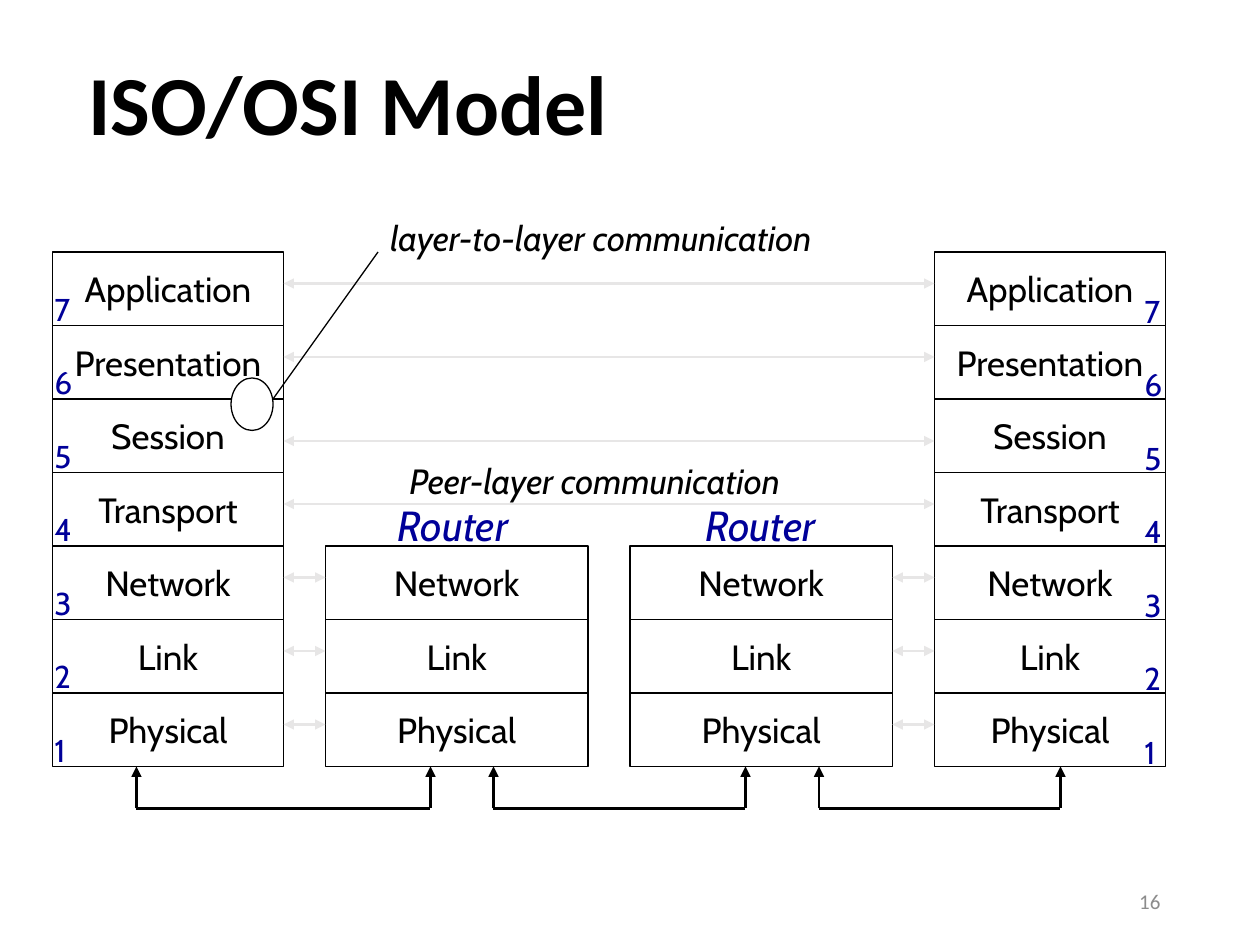
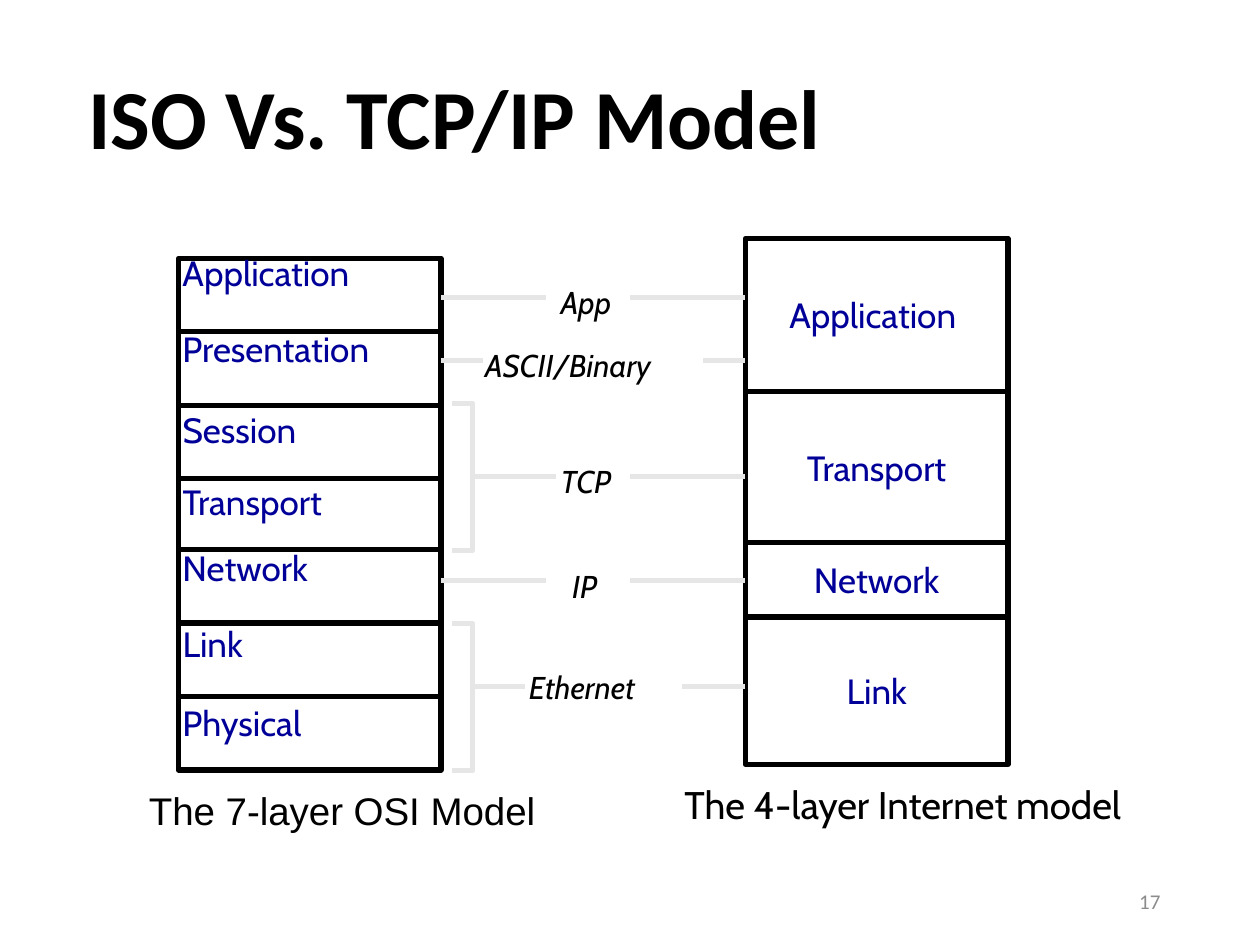
"""Two slides: the ISO/OSI layers, and how they map to the TCP/IP model."""
from dataclasses import dataclass
from typing import Any

import lxml.etree
import pptx
import pptx.dml.color
import pptx.enum.shapes
import pptx.enum.text
import pptx.oxml.ns
import pptx.util

# Grid: the slide is 120 columns by 90 rows, each a twelfth of an inch
SLIDE_WIDTH = pptx.util.Inches(10)
SLIDE_HEIGHT = pptx.util.Inches(7.5)
COLUMNS, ROWS = 120, 90
TITLE_ONLY = 5

# Shared colours and fonts
BLACK, WHITE, NAVY, PALE, GREY = "000000", "FFFFFF", "000099", "E7E6E6", "8C8C8C"
BODY_FONT, TITLE_FONT = "Cabin", "Calibri"
LAYERS = ["Application", "Presentation", "Session", "Transport",
          "Network", "Link", "Physical"]
LAYER_ROWS = 7

Align = pptx.enum.text.PP_ALIGN
Anchor = pptx.enum.text.MSO_ANCHOR
AutoSize = pptx.enum.text.MSO_AUTO_SIZE
Preset = pptx.enum.shapes.MSO_SHAPE


@dataclass
class Style:
    size: float
    color: str = BLACK
    name: str = BODY_FONT
    bold: bool = False
    italic: bool = False


@dataclass
class Box:
    left: float
    top: float
    width: float
    height: float
    text: str = ""


@dataclass
class Label:
    text: str
    left: float
    top: float
    width: float
    style: Style


@dataclass
class Stack:
    left: float
    width: float
    layers: list[str]


@dataclass
class Protocol:
    label: Label
    row: float
    left_start: float
    left_end: float
    right_start: float


LAYER_STYLE = Style(20)
NAVY_LAYER_STYLE = Style(20, NAVY)
NOTE_STYLE = Style(20, italic=True)
ROUTER_STYLE = Style(24, NAVY, italic=True)
DIGIT_STYLE = Style(18, NAVY)
PROTOCOL_STYLE = Style(18, italic=True)
TITLE_STYLE = Style(48, name=TITLE_FONT, bold=True)
NUMBER_STYLE = Style(12, GREY, TITLE_FONT)


# Helpers
def across(columns: float) -> int:
    return round(SLIDE_WIDTH * columns / COLUMNS)


def down(rows: float) -> int:
    return round(SLIDE_HEIGHT * rows / ROWS)


def place(box: Box) -> tuple[int, int, int, int]:
    return across(box.left), down(box.top), across(box.width), down(box.height)


def rgb(color: str) -> pptx.dml.color.RGBColor:
    return pptx.dml.color.RGBColor.from_string(color)


def apply(target: Any, values: dict[str, Any]) -> None:
    for attribute, value in values.items():
        setattr(target, attribute, value)


def write(shape: Any, text: str, style: Style, frame: dict[str, Any],
          paragraph_format: dict[str, Any]) -> None:
    apply(shape.text_frame, frame)
    paragraph = shape.text_frame.paragraphs[0]
    apply(paragraph, paragraph_format)
    run = paragraph.add_run()
    run.text = text
    apply(run.font, {"name": style.name, "size": pptx.util.Pt(style.size),
                     "bold": style.bold, "italic": style.italic})
    run.font.color.rgb = rgb(style.color)


def outline(shape: Any, color: str, weight: float) -> None:
    shape.line.color.rgb = rgb(color)
    shape.line.width = pptx.util.Pt(weight)


def draw_box(shapes: Any, box: Box, weight: float, style: Style = LAYER_STYLE,
             preset: Preset = Preset.RECTANGLE) -> None:
    shape = shapes.add_shape(preset, *place(box))
    shape.shadow.inherit = False
    shape.fill.solid()
    shape.fill.fore_color.rgb = rgb(WHITE)
    outline(shape, BLACK, weight)
    if box.text:
        write(shape, box.text, style,
              {"word_wrap": False, "vertical_anchor": Anchor.MIDDLE},
              {"alignment": Align.CENTER})


def draw_label(shapes: Any, label: Label) -> None:
    height = 1.2 + label.style.size * 0.2
    shape = shapes.add_textbox(*place(Box(label.left, label.top, label.width, height)))
    write(shape, label.text, label.style,
          {"word_wrap": False, "auto_size": AutoSize.SHAPE_TO_FIT_TEXT},
          {"alignment": Align.LEFT})


def draw_line(shapes: Any, start: tuple[float, float], end: tuple[float, float],
              color: str, weight: float, arrows: tuple[str, ...] = ()) -> None:
    """Draw a line; arrows names the ends ("headEnd", "tailEnd") that get a tip."""
    connector = shapes.add_connector(
        pptx.enum.shapes.MSO_CONNECTOR.STRAIGHT,
        across(start[0]), down(start[1]), across(end[0]), down(end[1]))
    outline(connector, color, weight)
    properties = connector.element.spPr
    line = properties.find(pptx.oxml.ns.qn("a:ln"))
    for arrow in arrows:
        lxml.etree.SubElement(line, pptx.oxml.ns.qn(f"a:{arrow}"), type="triangle")
    lxml.etree.SubElement(properties, pptx.oxml.ns.qn("a:effectLst"))


def draw_bracket(shapes: Any, left: float, top: float, width: float,
                 height: float) -> None:
    right, bottom = across(left + width), down(top + height)
    builder = shapes.build_freeform(across(left), down(top))
    builder.add_line_segments(
        [(right, down(top)), (right, bottom), (across(left), bottom)], close=False)
    shape = builder.convert_to_shape()
    shape.shadow.inherit = False
    shape.fill.background()
    outline(shape, PALE, 3)


def add_slide(presentation: Any, title: str, title_top: float, number: int) -> Any:
    slide = presentation.slides.add_slide(presentation.slide_layouts[TITLE_ONLY])
    left, top, width, height = place(Box(7.2, title_top, 103.4, 17.4))
    apply(slide.shapes.title,
          {"left": left, "top": top, "width": width, "height": height})
    write(slide.shapes.title, title, TITLE_STYLE,
          {"vertical_anchor": Anchor.MIDDLE, "auto_size": AutoSize.NONE},
          {"alignment": Align.LEFT, "line_spacing": 0.9})
    footer = slide.shapes.add_textbox(*place(Box(84.7, 83.4, 27, 4.8)))
    write(footer, str(number), NUMBER_STYLE,
          {"word_wrap": True, "vertical_anchor": Anchor.MIDDLE},
          {"alignment": Align.RIGHT})
    return slide


# Slide with hosts and routers
def build_osi_slide(presentation: Any) -> None:
    shapes = add_slide(presentation, "ISO/OSI Model", 1.6, 16).shapes
    stack_top, stack_bottom, cable_row = 24, 73, 77
    router_layers = LAYERS[4:]
    left_host, right_host = Stack(5, 22, LAYERS), Stack(89, 22, LAYERS)
    left_router, right_router = Stack(31, 25, router_layers), Stack(60, 25, router_layers)

    # Layer stacks, all standing on the same bottom row
    for stack in (left_host, left_router, right_router, right_host):
        top = stack_bottom - LAYER_ROWS * len(stack.layers)
        for index, layer in enumerate(stack.layers):
            draw_box(shapes, Box(stack.left, top + LAYER_ROWS * index,
                                 stack.width, LAYER_ROWS, layer), 0.75)

    # Peer arrows: host to host above, host to router below
    both = ("headEnd", "tailEnd")
    host_edge = left_host.left + left_host.width
    router_edge = right_router.left + right_router.width
    for row in (27, 34, 42, 48):
        draw_line(shapes, (host_edge, row), (right_host.left, row), PALE, 1.5, both)
    for start, end in ((host_edge, left_router.left), (router_edge, right_host.left)):
        for row in (55, 62, 69):
            draw_line(shapes, (start, row), (end, row), PALE, 1.5, both)

    # Cables under the stacks
    for start, end in ((13, 41), (47, 71), (78, 101)):
        draw_line(shapes, (start, cable_row), (end, cable_row), BLACK, 1.5)
        for column in (start, end):
            draw_line(shapes, (column, cable_row), (column, stack_bottom),
                      BLACK, 1.5, ("tailEnd",))

    # Callout and notes
    draw_box(shapes, Box(22, 36, 4, 5), 0.75, preset=Preset.OVAL)
    draw_line(shapes, (26, 38), (36, 24), BLACK, 0.75)
    for label in (Label("Peer-layer communication", 37.8, 43.2, 42.1, NOTE_STYLE),
                  Label("layer-to-layer communication", 36, 20, 47.5, NOTE_STYLE),
                  Label("Router", 36.7, 47, 15.1, ROUTER_STYLE),
                  Label("Router", 66, 47, 15.1, ROUTER_STYLE)):
        draw_label(shapes, label)

    # Layer numbers, 7 at the top
    for left, offset in ((4, 3), (107.8, 3.2)):
        for index in range(len(LAYERS)):
            digit = len(LAYERS) - index
            draw_label(shapes, Label(str(digit), left,
                                     stack_top + offset + LAYER_ROWS * index,
                                     3.7 if digit == 1 else 4.2, DIGIT_STYLE))


# Slide comparing the two models
def build_comparison_slide(presentation: Any) -> None:
    shapes = add_slide(presentation, "ISO Vs. TCP/IP Model", 2.9, 17).shapes
    osi_left, internet_left, stack_width = 17, 71, 25
    osi_right = osi_left + stack_width

    # Seven OSI layers; the lower three sit slightly higher
    label_tops = (23.4, 30.6, 38.3, 45.2, 51.5, 58.7, 66.2)
    label_widths = (19.7, 22.1, 14.3, 18.1, 15.8, 8.8, 14.6)
    for index, (layer, top, width) in enumerate(zip(LAYERS, label_tops, label_widths)):
        box_top = 24.6 + LAYER_ROWS * index - (0.25 if index > 3 else 0)
        draw_box(shapes, Box(osi_left, box_top, stack_width, LAYER_ROWS), 3)
        draw_label(shapes, Label(layer, 16.2, top, width, NAVY_LAYER_STYLE))

    # Four Internet layers
    for layer, top, height in (("", 22.7, 14.6), ("Transport", 37.3, 14.4),
                               ("Network", 51.7, 7), ("Link", 58.8, 14)):
        draw_box(shapes, Box(internet_left, top, stack_width, height, layer),
                 3, NAVY_LAYER_STYLE)
    for label in (Label("Application", 74, 27.4, 19.7, NAVY_LAYER_STYLE),
                  Label("The 7-layer OSI Model", 13, 74.4, 39.4, Style(22, name="Arial")),
                  Label("The 4-layer Internet model", 64, 73.8, 49.7, Style(22))):
        draw_label(shapes, label)

    # Protocols joining the models, kept together as a group
    group = shapes.add_group_shape().shapes
    bracket_left, bracket_width = 43, 2
    bracket_right = bracket_left + bracket_width
    for top in (38.4, 59.4):
        draw_bracket(group, bracket_left, top, bracket_width, 2 * LAYER_ROWS)
    for protocol in (
            Protocol(Label("App", 52.2, 26.4, 7.6, PROTOCOL_STYLE), 28.3, osi_right, 52, 60),
            Protocol(Label("ASCII/Binary", 45, 32.4, 22.2, PROTOCOL_STYLE),
                     34.3, osi_right, 46, 67),
            Protocol(Label("TCP", 52.2, 43.4, 7.8, PROTOCOL_STYLE),
                     45.4, bracket_right, 53, 60),
            Protocol(Label("IP", 53.3, 53.4, 5.6, PROTOCOL_STYLE), 55.3, osi_right, 52, 60),
            Protocol(Label("Ethernet", 49.2, 63, 15.8, PROTOCOL_STYLE),
                     65.4, bracket_right, 50, 65)):
        draw_label(group, protocol.label)
        for start, end in ((protocol.left_start, protocol.left_end),
                           (protocol.right_start, internet_left)):
            draw_line(group, (start, protocol.row), (end, protocol.row), PALE, 3)


def main() -> None:
    presentation = pptx.Presentation()
    apply(presentation, {"slide_width": SLIDE_WIDTH, "slide_height": SLIDE_HEIGHT})
    build_osi_slide(presentation)
    build_comparison_slide(presentation)
    presentation.save("out.pptx")


if __name__ == "__main__":
    main()
